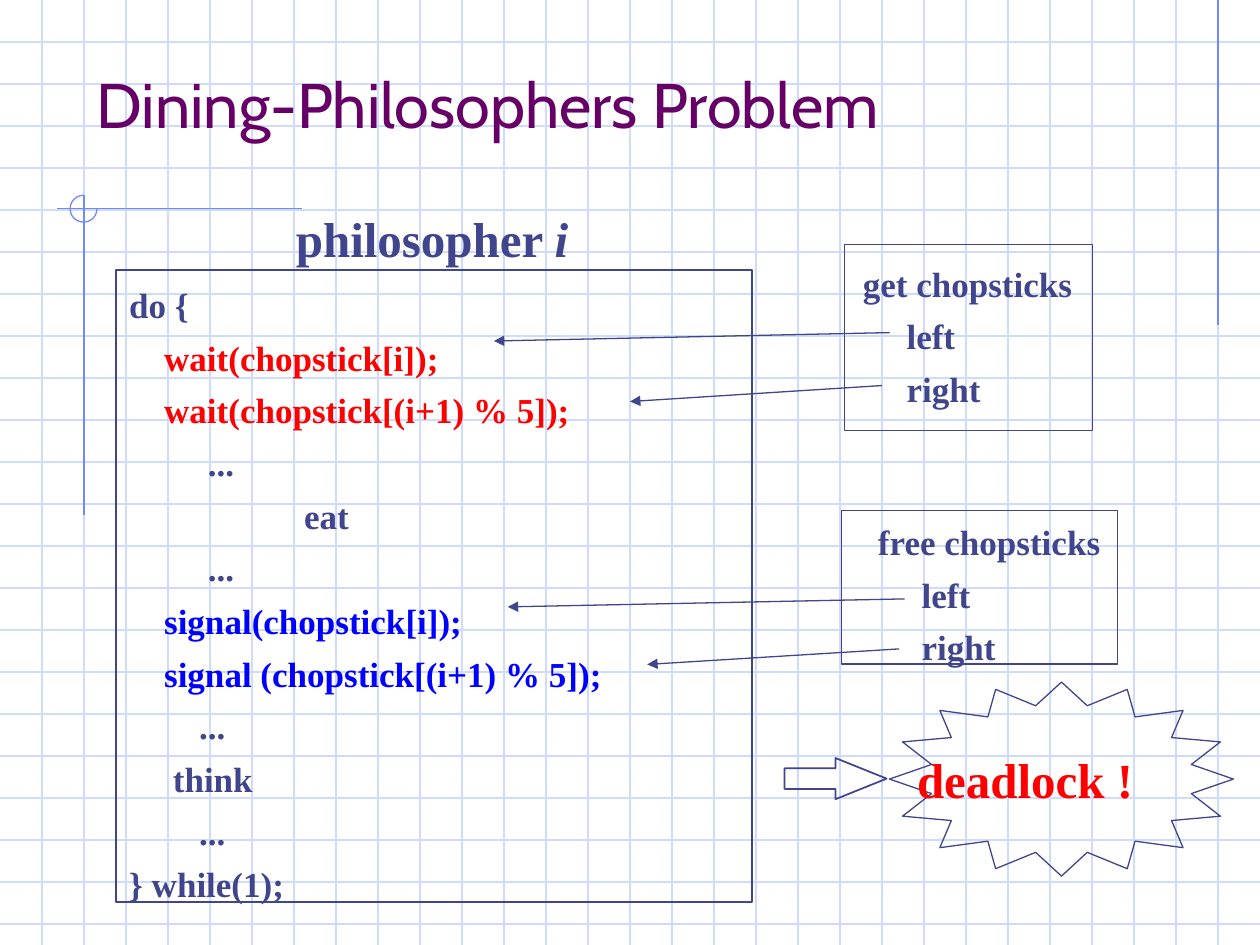
"""Build the Dining-Philosophers Problem slide on a grid of 30 columns and 22.5 rows."""
from dataclasses import dataclass

from lxml import etree
from pptx import Presentation
from pptx.dml.color import RGBColor
from pptx.enum.shapes import MSO_CONNECTOR, MSO_SHAPE
from pptx.enum.text import MSO_ANCHOR, MSO_AUTO_SIZE, PP_ALIGN
from pptx.oxml.ns import qn
from pptx.slide import Slide
from pptx.util import Inches, Length, Pt

STRAIGHT = MSO_CONNECTOR.STRAIGHT
RECTANGLE = MSO_SHAPE.RECTANGLE
RIGHT_ARROW = MSO_SHAPE.RIGHT_ARROW
STAR = MSO_SHAPE.STAR_16_POINT
ARC = MSO_SHAPE.ARC
LEFT = PP_ALIGN.LEFT
TOP = MSO_ANCHOR.TOP
BOTTOM = MSO_ANCHOR.BOTTOM
NO_AUTO_SIZE = MSO_AUTO_SIZE.NONE
TITLE_ONLY = 5
COLUMNS, ROWS = 30, 22.5
CELL = Inches(10) / COLUMNS


@dataclass(frozen=True)
class Theme:
    ink: str = "40458C"
    title: str = "660066"
    grid: str = "CFDBFD"
    ornament: str = "6F89F7"
    wait: str = "FF0000"
    signal: str = "0000FF"
    title_font: str = "Cabin"
    body_font: str = "Times New Roman"
    title_size: int = 36
    heading_size: int = 28
    body_size: int = 20
    line_spacing: float = 0.94
    space_before: float = 7.5


THEME = Theme()


@dataclass(frozen=True)
class Area:
    left: float
    top: float
    width: float
    height: float

    def lengths(self) -> list[Length]:
        return [cells(value) for value in (self.left, self.top, self.width, self.height)]


@dataclass(frozen=True)
class Run:
    text: str
    color: str = THEME.ink
    italic: bool = False


@dataclass(frozen=True)
class TextLine:
    runs: tuple[Run, ...]
    indent: float = 0


@dataclass(frozen=True)
class TextBlock:
    area: Area
    lines: tuple[TextLine, ...]
    size: int = THEME.body_size


@dataclass(frozen=True)
class Line:
    start: tuple[float, float]
    end: tuple[float, float]
    color: str = THEME.ink
    arrow: bool = False


@dataclass(frozen=True)
class Outline:
    kind: MSO_SHAPE
    area: Area
    width: float = 0.75
    color: str = THEME.ink
    adjustments: tuple[float, ...] = ()


def cells(count: float) -> Length:
    return Length(round(count * CELL))


def assign(target: object, values: dict[str, object]) -> None:
    for name, value in values.items():
        setattr(target, name, value)


def code_line(spaces: int, text: str, color: str = THEME.ink) -> TextLine:
    return TextLine((Run(" " * spaces + text, color),))


def chopstick_lines(heading: str) -> tuple[TextLine, ...]:
    return (TextLine((Run(heading),)),
            *(TextLine((Run(side),), 1.04) for side in ("left", "right")))


def draw_line(slide: Slide, line: Line) -> None:
    ends = [cells(value) for value in (*line.start, *line.end)]
    connector = slide.shapes.add_connector(STRAIGHT, *ends)
    connector.line.width = Pt(0.75)
    connector.line.color.rgb = RGBColor.from_string(line.color)
    if line.arrow:
        etree.SubElement(connector.line._get_or_add_ln(), qn("a:tailEnd"), type="triangle")
    etree.SubElement(connector.element.spPr, qn("a:effectLst"))


def draw_outline(slide: Slide, outline: Outline) -> None:
    shape = slide.shapes.add_shape(outline.kind, *outline.area.lengths())
    shape.shadow.inherit = False
    shape.fill.background()
    shape.line.width = Pt(outline.width)
    shape.line.color.rgb = RGBColor.from_string(outline.color)
    for index, value in enumerate(outline.adjustments):
        shape.adjustments[index] = value


def draw_text(slide: Slide, block: TextBlock) -> None:
    frame = slide.shapes.add_textbox(*block.area.lengths()).text_frame
    assign(frame, {"word_wrap": True, "auto_size": NO_AUTO_SIZE, "vertical_anchor": TOP})
    for index, line in enumerate(block.lines):
        paragraph = frame.add_paragraph() if index else frame.paragraphs[0]
        paragraph.line_spacing = THEME.line_spacing
        paragraph.space_before = Pt(THEME.space_before if index else 0)
        if line.indent:
            paragraph._p.get_or_add_pPr().set("marL", str(cells(line.indent)))
        for item in line.runs:
            run = paragraph.add_run()
            run.text = item.text
            assign(run.font, {"name": THEME.body_font, "size": Pt(block.size),
                              "bold": True, "italic": item.italic})
            run.font.color.rgb = RGBColor.from_string(item.color)


def draw_title(slide: Slide, text: str, area: Area) -> None:
    title = slide.shapes.title
    title.element.getparent().append(title.element)
    assign(title, dict(zip(("left", "top", "width", "height"), area.lengths())))
    frame = title.text_frame
    frame.text = text
    assign(frame, {"word_wrap": True, "auto_size": NO_AUTO_SIZE, "vertical_anchor": BOTTOM})
    paragraph = frame.paragraphs[0]
    paragraph.alignment = LEFT
    assign(paragraph.font, {"name": THEME.title_font, "size": Pt(THEME.title_size)})
    paragraph.font.color.rgb = RGBColor.from_string(THEME.title)


GRID = [Line((0, row), (COLUMNS, row), THEME.grid) for row in range(1, 23)]
GRID += [Line((column, 0), (column, ROWS), THEME.grid) for column in range(1, COLUMNS)]
ORNAMENTS = [Line(start, end, THEME.ornament) for start, end in (
    ((29, 0), (29, 7.74)), ((7.2, 4.97), (1.35, 4.97)), ((2, 4.65), (2, 12.27)))]
ARROWS = [Line(start, end, arrow=True) for start, end in (
    ((21.18, 7.92), (11.76, 8.12)), ((21, 9.18), (15, 9.56)),
    ((21.54, 14.26), (12.09, 14.45)), ((21.41, 15.45), (15.41, 15.82)))]
OUTLINES = [
    Outline(ARC, Area(1.67, 4.65, 0.64, 0.64), 0.75, THEME.ornament, (0, 162)),
    Outline(STAR, Area(21.18, 16.24, 8.19, 4.62), adjustments=(0.385,)),
    Outline(RECTANGLE, Area(2.76, 6.42, 15.15, 15.06), 1),
    Outline(RIGHT_ARROW, Area(18.68, 18.05, 2.43, 0.98), 1, adjustments=(0.5, 1.24)),
    Outline(RECTANGLE, Area(20.1, 5.82, 5.91, 4.43)),
    Outline(RECTANGLE, Area(20.04, 12.15, 6.57, 3.66)),
]
CODE = (
    code_line(0, "do {"),
    code_line(4, "wait(chopstick[i]);", THEME.wait),
    code_line(4, "wait(chopstick[(i+1) % 5]);", THEME.wait),
    code_line(9, "..."),
    code_line(20, "eat"),
    code_line(9, "..."),
    code_line(4, "signal(chopstick[i]);", THEME.signal),
    code_line(4, "signal (chopstick[(i+1) % 5]);", THEME.signal),
    code_line(8, "..."),
    code_line(5, "think"),
    code_line(8, "..."),
    code_line(0, "} while(1);"),
)
TEXTS = [
    TextBlock(Area(2.78, 6.69, 13.74, 14.52), CODE),
    TextBlock(Area(21.54, 17.82, 7.62, 1.56),
              (TextLine((Run("deadlock !", THEME.wait),)),), THEME.heading_size),
    TextBlock(Area(6.75, 4.92, 7.8, 1.56),
              (TextLine((Run("philosopher "), Run("i", italic=True))),), THEME.heading_size),
    TextBlock(Area(20.25, 6.18, 6, 3.63), chopstick_lines("get chopsticks")),
    TextBlock(Area(20.61, 12.33, 6.3, 3.63), chopstick_lines("free chopsticks")),
]


def main() -> None:
    presentation = Presentation()
    presentation.slide_width, presentation.slide_height = cells(COLUMNS), cells(ROWS)
    slide = presentation.slides.add_slide(presentation.slide_layouts[TITLE_ONLY])
    for line in GRID + ORNAMENTS:
        draw_line(slide, line)
    draw_title(slide, "Dining-Philosophers Problem", Area(2, 1.11, 26.73, 2.4))
    for outline in OUTLINES:
        draw_outline(slide, outline)
    for block in TEXTS:
        draw_text(slide, block)
    for arrow in ARROWS:
        draw_line(slide, arrow)
    presentation.save("out.pptx")


if __name__ == "__main__":
    main()
